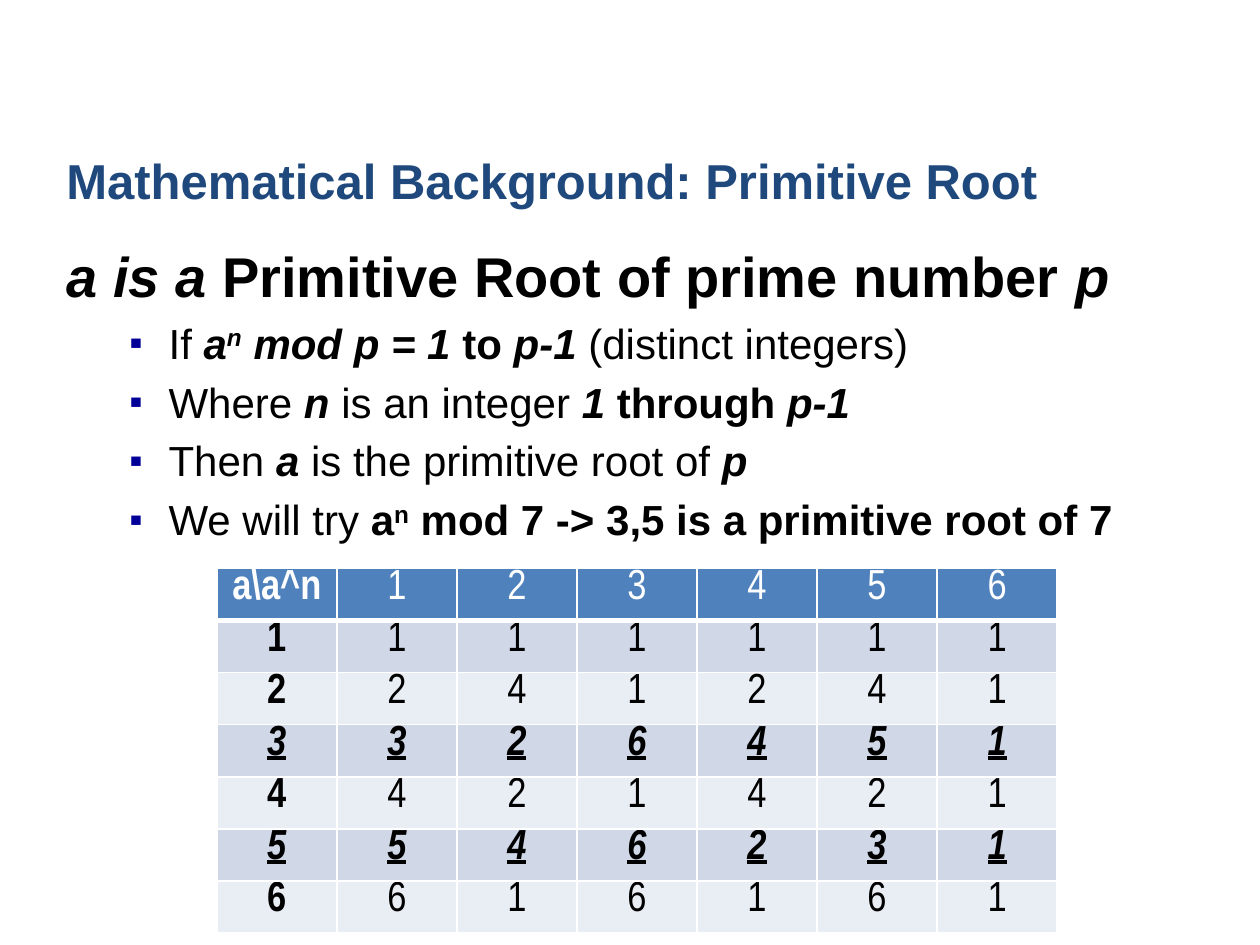
"""Build a slide on primitive roots with a table of powers modulo 7."""
from lxml.etree import SubElement
from pptx import Presentation
from pptx.dml.color import RGBColor
from pptx.enum.text import MSO_ANCHOR, PP_ALIGN
from pptx.oxml.ns import qn
from pptx.util import Cm, Pt

COLORS = {
    "title": "1F497D", "text": "000000", "bullet": "000099", "white": "FFFFFF",
    "header": "4F81BD", "odd": "D0D8E8", "even": "E9EDF4",
}
PRIME = 7
HEADING = [("a is a ", "bi"), ("Primitive Root of prime number ", "b"), ("p", "bi")]
BULLETS = [
    [("If ", ""), ("a", "bi"), ("n", "bi^"), (" mod p = 1 ", "bi"), ("to ", "b"),
     ("p-1 ", "bi"), ("(distinct integers)", "")],
    [("Where ", ""), ("n ", "bi"), ("is an integer ", ""), ("1 ", "bi"),
     ("through ", "b"), ("p-1", "bi")],
    [("Then ", ""), ("a ", "bi"), ("is the primitive root of ", ""), ("p", "bi")],
    [("We will try ", ""), ("a", "b"), ("n", "b^"),
     (" mod 7 -> 3,5 is a primitive root of 7", "b")],
]


def style_span(span, size, color, flags, font="Arial"):
    span.font.name = font
    span.font.size = Pt(size)
    span.font.color.rgb = RGBColor.from_string(COLORS[color])
    span.font.bold = "b" in flags
    span.font.italic = "i" in flags
    span.font.underline = "u" in flags
    if "^" in flags:
        span.font._element.set("baseline", "30000")


def add_child(parent, tag, **attributes):
    return SubElement(parent, qn(tag), attributes)


deck = Presentation()
deck.slide_width, deck.slide_height = Cm(25.4), Cm(19.05)
page = deck.slides.add_slide(deck.slide_layouts[6])

title_box = page.shapes.add_textbox(Cm(1.09), Cm(2.54), Cm(23.4), Cm(1.8))
title_box.text_frame.word_wrap = True
title_box.text_frame.vertical_anchor = MSO_ANCHOR.BOTTOM
title_box.text_frame.text = "Mathematical Background: Primitive Root"
style_span(title_box.text_frame.paragraphs[0].runs[0], 28, "title", "b")

body_box = page.shapes.add_textbox(Cm(1.09), Cm(4.75), Cm(23.44), Cm(11.96))
body_box.text_frame.word_wrap = True
for index, pieces in enumerate([HEADING, *BULLETS]):
    para = body_box.text_frame.add_paragraph() if index else body_box.text_frame.paragraphs[0]
    for text, flags in pieces:
        span = para.add_run()
        span.text = text
        style_span(span, 24 if index else 32, "text", flags)
    properties = para._p.get_or_add_pPr()
    add_child(add_child(properties, "a:spcBef"), "a:spcPct", val="20000")
    if index:
        para.level = 1
        properties.set("marL", str(Cm(2.06)))
        properties.set("indent", str(Cm(-0.79)))
        add_child(add_child(properties, "a:buClr"), "a:srgbClr", val=COLORS["bullet"])
        add_child(properties, "a:buSzPct", val="90000")
        add_child(properties, "a:buFont", typeface="Arial")
        add_child(properties, "a:buChar", char="▪")

numbers = range(1, PRIME)
rows = [["a\\a^n", *numbers]]
rows += [[base, *(pow(base, power, PRIME) for power in numbers)] for base in numbers]
table = page.shapes.add_table(
    PRIME, PRIME, Cm(4.37), Cm(11.46), Cm(2.42) * PRIME, Cm(1.05) * PRIME).table
for column in table.columns:
    column.width = Cm(2.42)

for row_index, values in enumerate(rows):
    table.rows[row_index].height = Cm(1.05)
    is_root = row_index > 0 and len(set(values[1:])) == PRIME - 1
    fill = "header" if row_index == 0 else "odd" if row_index % 2 else "even"
    for column_index, value in enumerate(values):
        cell = table.cell(row_index, column_index)
        cell.margin_top = cell.margin_bottom = 0
        cell.text_frame.text = str(value)
        para = cell.text_frame.paragraphs[0]
        para.alignment = PP_ALIGN.CENTER
        flags = "biu" if is_root else "b" if column_index == 0 else ""
        style_span(para.runs[0], 24, "text" if row_index else "white", flags, "Arial Narrow")
        for side in "LRTB":
            thick = (row_index, side) in [(0, "B"), (1, "T")]
            line = add_child(cell._tc.get_or_add_tcPr(), f"a:ln{side}", w=str(Pt(3 if thick else 1)))
            add_child(add_child(line, "a:solidFill"), "a:srgbClr", val=COLORS["white"])
        cell.fill.solid()
        cell.fill.fore_color.rgb = RGBColor.from_string(COLORS[fill])

deck.save("out.pptx")
